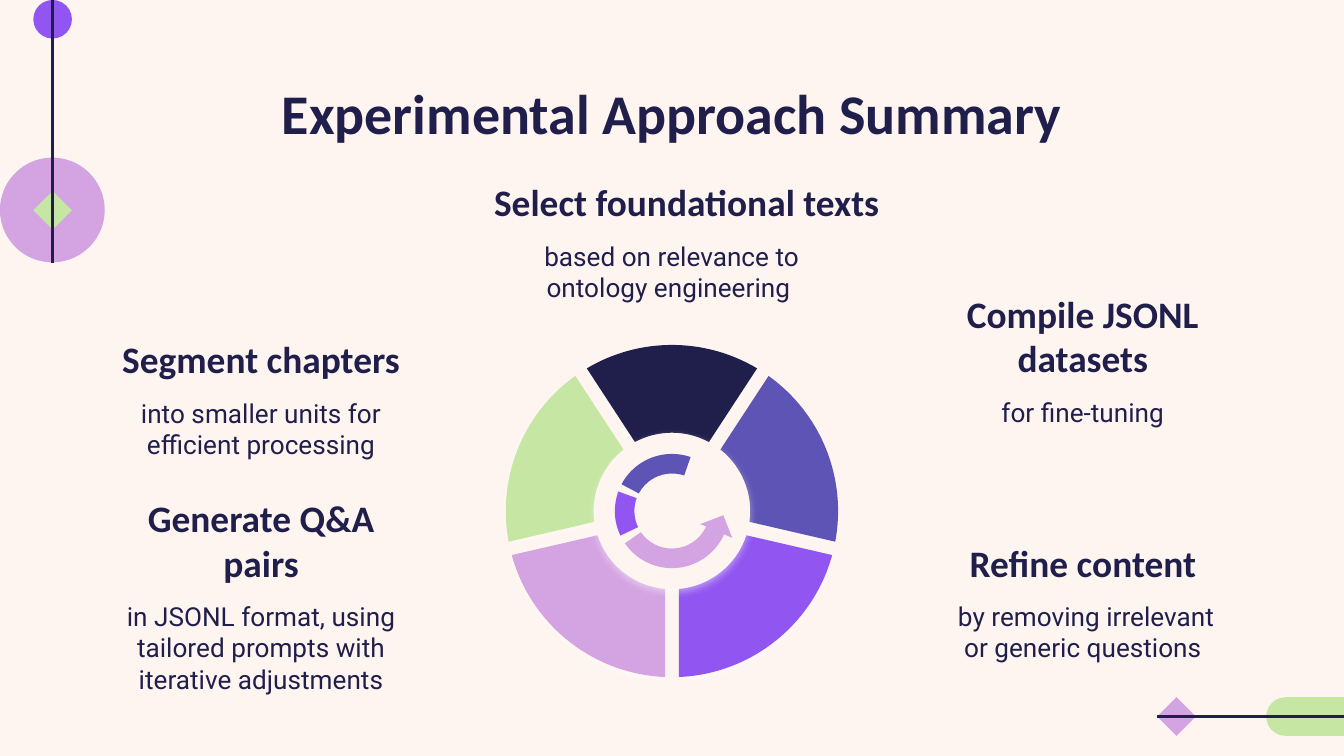
from math import asin, cos, degrees, radians, sin, tan

from lxml import etree
from pptx import Presentation
from pptx.dml.color import RGBColor
from pptx.enum.shapes import MSO_CONNECTOR, MSO_SHAPE
from pptx.enum.text import MSO_ANCHOR, PP_ALIGN
from pptx.oxml.ns import qn
from pptx.util import Cm, Pt

# Content; all lengths in cm
COLORS = {"cream": "FEF5F0", "navy": "201F4B", "indigo": "5E54B5",
          "violet": "9156F1", "lilac": "D4A4E2", "green": "C6E6A3",
          "glow": "FFFFFF"}
TITLE = "Experimental Approach Summary"

# heading, body, heading left, heading width, body left, heading top
STEPS = [
    ("Refine content", " by removing irrelevant or generic questions",
     17.53, 5.87, 17.53, 9.75),
    ("Compile JSONL datasets", "for fine-tuning", 17.53, 5.87, 17.53, 5.89),
    ("Select foundational texts", "based on relevance to ontology engineering ",
     7.85, 10.26, 9.76, 2.94),
    ("Generate Q&A pairs",
     "in JSONL format, using tailored prompts with iterative adjustments",
     2, 5.87, 2, 9.75),
    ("Segment chapters", "into smaller units for efficient processing",
     2, 5.87, 2, 5.91),
]
BODY_WIDTH, BODY_DROP = 5.87, 1.35

# preset, left, top, width, height, colour
ORNAMENTS = [
    (MSO_SHAPE.OVAL, 0, 2.98, 1.98, 1.98, "lilac"),
    (MSO_SHAPE.DIAMOND, 0.63, 3.61, 0.73, 0.73, "green"),
    (MSO_SHAPE.OVAL, 0.63, 0, 0.73, 0.73, "violet"),
    (MSO_SHAPE.ROUNDED_RECTANGLE, 23.93, 13.18, 3.43, 0.73, "green"),
    (MSO_SHAPE.DIAMOND, 21.87, 13.18, 0.73, 0.73, "lilac"),
]
RULES = [(0.99, 4.98, 0.99, 0), (26.85, 13.54, 21.87, 13.54)]

# Wheel: angles in degrees, clockwise from the right
CENTER_X, CENTER_Y = 12.7, 9.66
OUTER, INNER, HUB, HALF_GAP = 3.14, 1.48, 1.46, 0.13
SECTORS = [(167, 236.8, "green"), (13, 90, "violet"), (90, 167, "lilac"),
           (303.2, 373, "indigo"), (236.8, 303.2, "navy")]
RING_OUTER, RING_INNER = 1.08, 0.71
RING_BANDS = [(297.5, 342.5, "cream"), (208, 289, "indigo"),
              (154.5, 200, "violet")]
ARROW_START, ARROW_END = 145.5, 24
ARROW_HEAD = [(1.14, 0.51), (0.97, 0.08), (0.53, 0.25)]

deck = Presentation()
deck.slide_width, deck.slide_height = Cm(25.4), Cm(14.29)
page = deck.slides.add_slide(deck.slide_layouts[6])
page.background.fill.solid()
page.background.fill.fore_color.rgb = RGBColor.from_string(COLORS["cream"])


def paint(shape, color):
    shape.shadow.inherit = False
    shape.fill.solid()
    shape.fill.fore_color.rgb = RGBColor.from_string(COLORS[color])
    shape.line.fill.background()
    return shape


def add_glow(shape):
    effects = shape._element.spPr.find(qn("a:effectLst"))
    shadow = etree.SubElement(effects, qn("a:outerShdw"), blurRad=str(Pt(4.5)),
                              dist=str(Pt(1.5)), dir="5400000",
                              algn="bl", rotWithShape="0")
    tint = etree.SubElement(shadow, qn("a:srgbClr"), val=COLORS["glow"])
    etree.SubElement(tint, qn("a:alpha"), val="50000")


def add_preset(kind, left, top, width, height, color):
    shape = page.shapes.add_shape(kind, Cm(left), Cm(top), Cm(width), Cm(height))
    return paint(shape, color)


def arc(radius, start, end):
    """A line to the start, then one Bezier curve per quadrant touched."""
    low, high = sorted((start, end))
    cuts = [low] + [a for a in range(0, 450, 90) if low < a < high] + [high]
    if end < start:
        cuts.reverse()
    pieces = [[(radius * cos(radians(start)), radius * sin(radians(start)))]]
    for first, last in zip(cuts, cuts[1:]):
        a, b = radians(first), radians(last)
        pull = 4 / 3 * tan((b - a) / 4)
        pieces.append([
            (radius * (cos(a) - pull * sin(a)), radius * (sin(a) + pull * cos(a))),
            (radius * (cos(b) + pull * sin(b)), radius * (sin(b) - pull * cos(b))),
            (radius * cos(b), radius * sin(b))])
    return pieces


def add_outline(pieces, color):
    spots = [(Cm(CENTER_X + x), Cm(CENTER_Y + y))
             for piece in pieces for x, y in piece]
    builder = page.shapes.build_freeform(*spots[0])
    builder.add_line_segments(spots[1:], close=True)
    shape = builder.convert_to_shape()
    # Join each three-point piece into a curve
    steps = iter(list(shape._element.iter(qn("a:lnTo"))))
    for piece in pieces[1:]:
        group = [next(steps) for _ in piece]
        if len(group) == 3:
            curve = etree.Element(qn("a:cubicBezTo"))
            group[0].addprevious(curve)
            for step in group:
                curve.append(step[0])
                step.getparent().remove(step)
    return paint(shape, color)


def add_text(text, left, top, width, height, font, size, bold=False,
             anchor=MSO_ANCHOR.TOP):
    box = page.shapes.add_textbox(Cm(left), Cm(top), Cm(width), Cm(height))
    frame = box.text_frame
    frame.word_wrap = True
    frame.vertical_anchor = anchor
    frame.margin_left = frame.margin_right = Cm(0.25)
    frame.margin_top = frame.margin_bottom = Cm(0.25)
    para = frame.paragraphs[0]
    para.text = text
    para.alignment = PP_ALIGN.CENTER
    para.font.name, para.font.size, para.font.bold = font, Pt(size), bold
    para.font.color.rgb = RGBColor.from_string(COLORS["navy"])


# Corner ornaments
for ornament in ORNAMENTS:
    shape = add_preset(*ornament)
    if ornament[0] == MSO_SHAPE.ROUNDED_RECTANGLE:
        shape.adjustments[0] = 0.5
for ends in RULES:
    rule = page.shapes.add_connector(MSO_CONNECTOR.STRAIGHT, *map(Cm, ends))
    rule.line.width = Pt(1.5)
    rule.line.color.rgb = RGBColor.from_string(COLORS["navy"])
    etree.SubElement(rule._element.spPr, qn("a:effectLst"))

# Title and steps
add_text(TITLE, 2, 1.24, 21.4, 1.6, "Calibri", 30, bold=True)
for heading, body, left, width, body_left, top in STEPS:
    add_text(body, body_left, top + BODY_DROP, BODY_WIDTH, 1.7, "Roboto", 14)
    add_text(heading, left, top, width, 1.55, "Calibri", 20, bold=True,
             anchor=MSO_ANCHOR.BOTTOM)

# Wheel sectors, kept apart by gaps of even width
outer_trim = degrees(asin(HALF_GAP / OUTER))
inner_trim = degrees(asin(HALF_GAP / INNER))
for start, end, color in SECTORS:
    add_glow(add_outline(arc(OUTER, start + outer_trim, end - outer_trim)
                         + arc(INNER, end - inner_trim, start + inner_trim), color))

# Hub with the circular arrow
add_glow(add_preset(MSO_SHAPE.OVAL, CENTER_X - HUB, CENTER_Y - HUB,
                    2 * HUB, 2 * HUB, "cream"))
add_outline(arc(RING_OUTER, ARROW_START, ARROW_END)
            + [[corner] for corner in ARROW_HEAD]
            + arc(RING_INNER, ARROW_END, ARROW_START), "lilac")
for start, end, color in RING_BANDS:
    add_outline(arc(RING_OUTER, start, end) + arc(RING_INNER, end, start), color)

deck.save("out.pptx")
